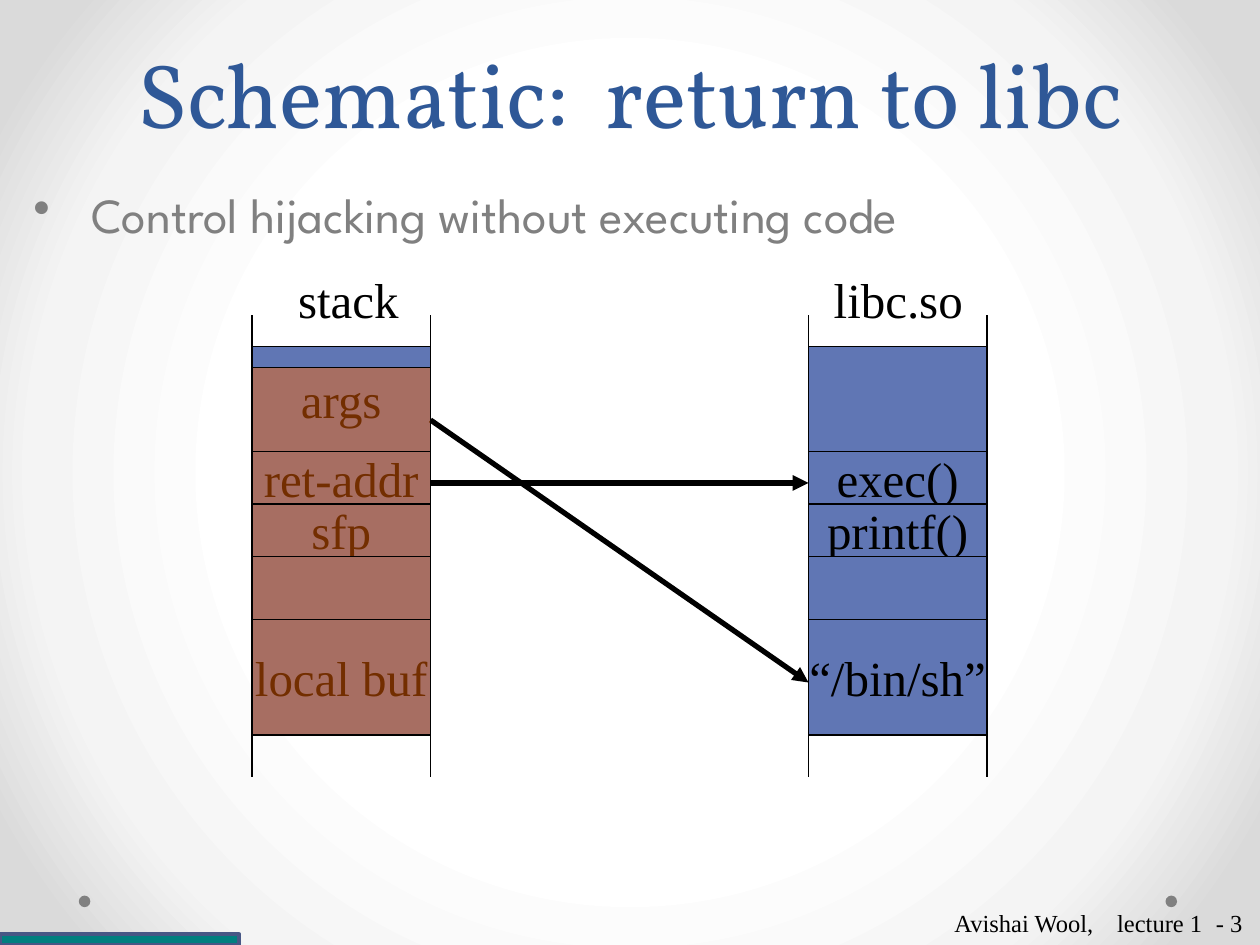
import pptx
import pptx.util
import pptx.dml.color
import pptx.enum.shapes
import pptx.enum.text
import pptx.oxml.ns
import lxml.etree

RGB = pptx.dml.color.RGBColor
BLACK = RGB(0, 0, 0)
BLUE = RGB(0x60, 0x76, 0xB4)
ORANGE = RGB(0xFF, 0x66, 0x00)
GRAY = RGB(0x80, 0x80, 0x80)
NAVY = RGB(0x2F, 0x58, 0x97)
TEAL = RGB(0x00, 0x7F, 0x7F)
EDGE = RGB(0x47, 0x57, 0x85)
GLOW = [(50, RGB(0xFF, 0xFF, 0xFF)), (76, RGB(0xF4, 0xF4, 0xF4)), (92, RGB(0xDA, 0xDA, 0xDA))]

KIND = pptx.enum.shapes.MSO_SHAPE
ALIGN = pptx.enum.text.PP_ALIGN
ANCHOR = pptx.enum.text.MSO_ANCHOR
SERIF = "Times New Roman"
SCALE = 7620
WIDE = 170
ROWS = [(330, 100), (430, 50), (480, 50), (530, 60), (590, 110)]


def px(num):
    return pptx.util.Emu(num * SCALE)


def add(node, tag, **attrs):
    child = lxml.etree.SubElement(node, pptx.oxml.ns.qn(tag))
    for key, val in attrs.items():
        child.set(key, str(val))
    return child


def find(node, tag):
    return node.find(".//" + pptx.oxml.ns.qn(tag))


class Page:
    """Draw styled elements on one slide, measured in px."""

    def __init__(self, deck):
        self.slide = deck.slides.add_slide(deck.slide_layouts[6])
        self.font, self.size, self.color = SERIF, 28, BLACK
        self.inset = (14, 7, 14, 7)

    def glow(self, stops):
        self.slide.background.fill.solid()
        solid = find(self.slide.element, "a:solidFill")
        grad = lxml.etree.Element(pptx.oxml.ns.qn("a:gradFill"), rotWithShape="1")
        group = add(grad, "a:gsLst")
        for pos, color in stops:
            add(add(group, "a:gs", pos=pos * 1000), "a:srgbClr", val=color)
        ring = add(grad, "a:path", path="circle")
        add(ring, "a:fillToRect", l=50000, t=50000, r=50000, b=50000)
        solid.getparent().replace(solid, grad)

    def label(self, shape, text, align=ALIGN.LEFT, anchor=ANCHOR.TOP, wrap=False,
              inset=None, font=None, size=None, color=None):
        frame = shape.text_frame
        frame.word_wrap = wrap
        frame.vertical_anchor = anchor
        left, top, right, low = inset or self.inset
        frame.margin_left, frame.margin_right = px(left), px(right)
        frame.margin_top, frame.margin_bottom = px(top), px(low)
        para = frame.paragraphs[0]
        para.alignment = align
        run = para.add_run()
        run.text = text
        run.font.name = font or self.font
        run.font.size = pptx.util.Pt(size or self.size)
        run.font.color.rgb = self.color if color is None else color
        return para

    def text(self, box, text, **style):
        shape = self.slide.shapes.add_textbox(*map(px, box))
        return self.label(shape, text, **style)

    def shape(self, box, fill, line=BLACK, width=0.75, kind=KIND.RECTANGLE, alpha=None):
        shape = self.slide.shapes.add_shape(kind, *map(px, box))
        shape.shadow.inherit = False
        shape.fill.solid()
        shape.fill.fore_color.rgb = fill
        if alpha:
            add(find(shape.element.spPr, "a:srgbClr"), "a:alpha", val=alpha * 1000)
        if line is None:
            shape.line.fill.background()
        else:
            shape.line.color.rgb = line
            shape.line.width = pptx.util.Pt(width)
        return shape

    def line(self, start, end, width=0.75, arrow=False):
        straight = pptx.enum.shapes.MSO_CONNECTOR.STRAIGHT
        link = self.slide.shapes.add_connector(straight, *map(px, start + end))
        link.line.color.rgb = BLACK
        link.line.width = pptx.util.Pt(width)
        props = find(link.element, "p:spPr")
        if arrow:
            add(find(props, "a:ln"), "a:tailEnd", type="triangle")
        add(props, "a:effectLst")

    def stack(self, left, names, head, box):
        for (top, tall), name in zip(ROWS, names):
            cell = self.shape((left, top, WIDE, tall), BLUE)
            if name:
                self.label(cell, name, align=ALIGN.CENTER, anchor=ANCHOR.MIDDLE)
        for side in (left, left + WIDE):
            self.line((side, 300), (side, 740))
        self.text(box, head)

    def bullet(self, para, hang):
        props = find(para.runs[0].font._element.getparent().getparent(), "a:pPr")
        props.set("marL", str(px(hang)))
        props.set("indent", str(px(-hang)))
        add(props, "a:buChar", char="•")

    def tabs(self, para, stops):
        group = add(find(para._p, "a:pPr"), "a:tabLst")
        for stop in stops:
            add(group, "a:tab", pos=px(stop), algn="l")


def main():
    deck = pptx.Presentation()
    deck.slide_width, deck.slide_height = px(1200), px(900)
    page = Page(deck)
    page.glow(GLOW)
    for left in (1110, 75):
        page.shape((left, 853, 11, 11), GRAY, line=None, kind=KIND.OVAL)

    title = page.text((60, -4, 1080, 150), "Schematic:  return to libc", align=ALIGN.CENTER,
                      anchor=ANCHOR.BOTTOM, wrap=True, inset=(12, 6, 12, 6),
                      font="Vollkorn", size=52, color=NAVY)
    title.line_spacing = pptx.util.Pt(58)
    body = page.text((20, 170, 1150, 730), "Control hijacking without executing code",
                     wrap=True, inset=(12, 6, 12, 6), font="League Spartan", color=GRAY)
    body.space_before = pptx.util.Pt(5.6)
    page.bullet(body, 55)
    foot = page.text((905, 857, 295, 43), "Avishai Wool,\tlecture 1\t- 3",
                     anchor=ANCHOR.MIDDLE, inset=(4, 6, 6, 6), size=14)
    page.tabs(foot, (155, 249))

    page.stack(240, ("args", "ret-addr", "sfp", "", "local buf"), "stack", (270, 250, 125, 71))
    page.stack(770, ("", "exec()", "printf()", "", "“/bin/sh”"), "libc.so", (780, 250, 152, 71))
    for start, end in ((460, 460), (400, 650)):
        page.line((240 + WIDE, start), (770, end), width=3, arrow=True)
    page.shape((240, 350, WIDE, 350), ORANGE, alpha=45)
    for top, tall in ROWS[1:]:
        page.line((240 + WIDE, top), (240, top))
    page.shape((0, 890, 228, 10), TEAL, line=EDGE, width=2.25)
    deck.save("out.pptx")


if __name__ == "__main__":
    main()
